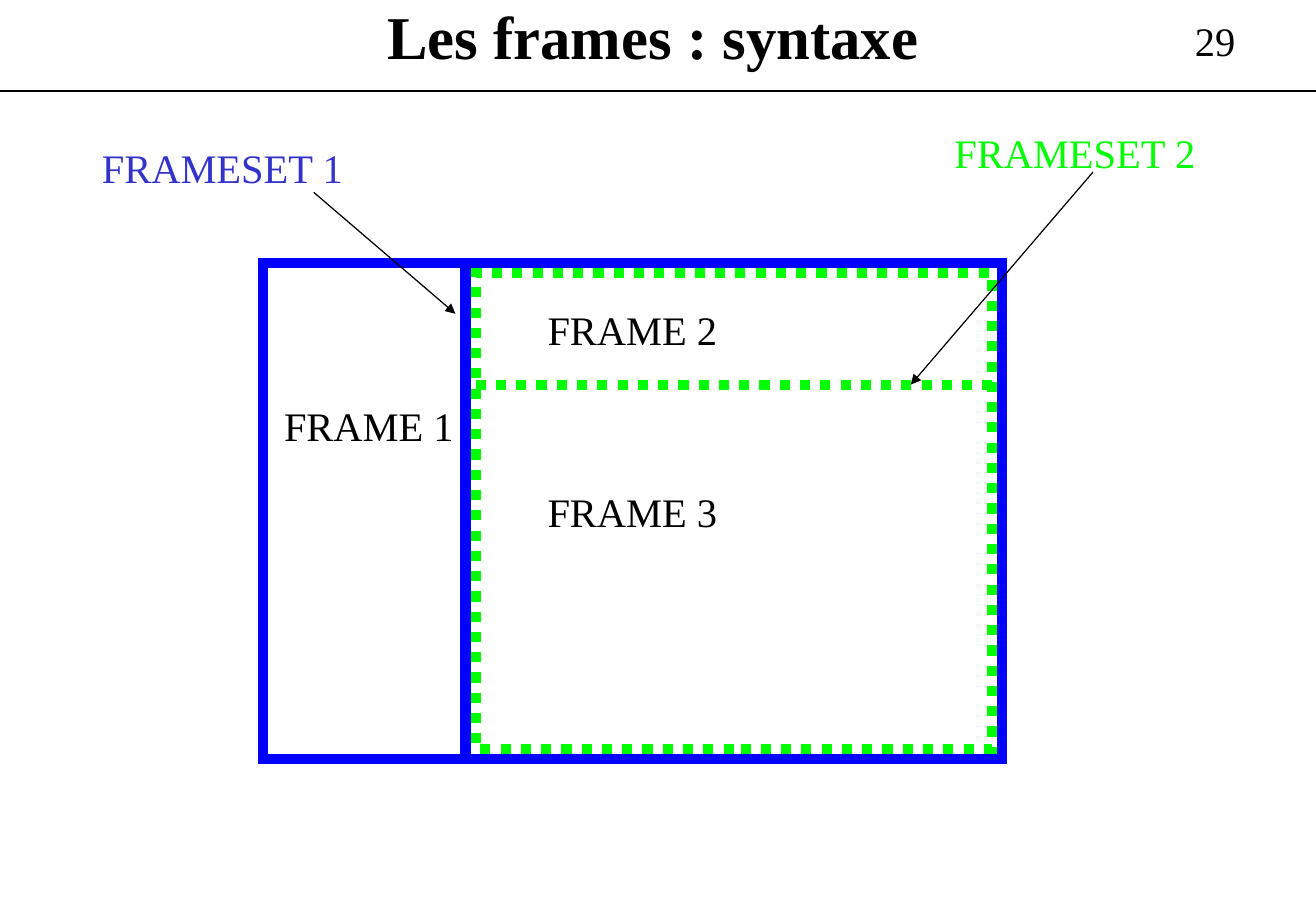
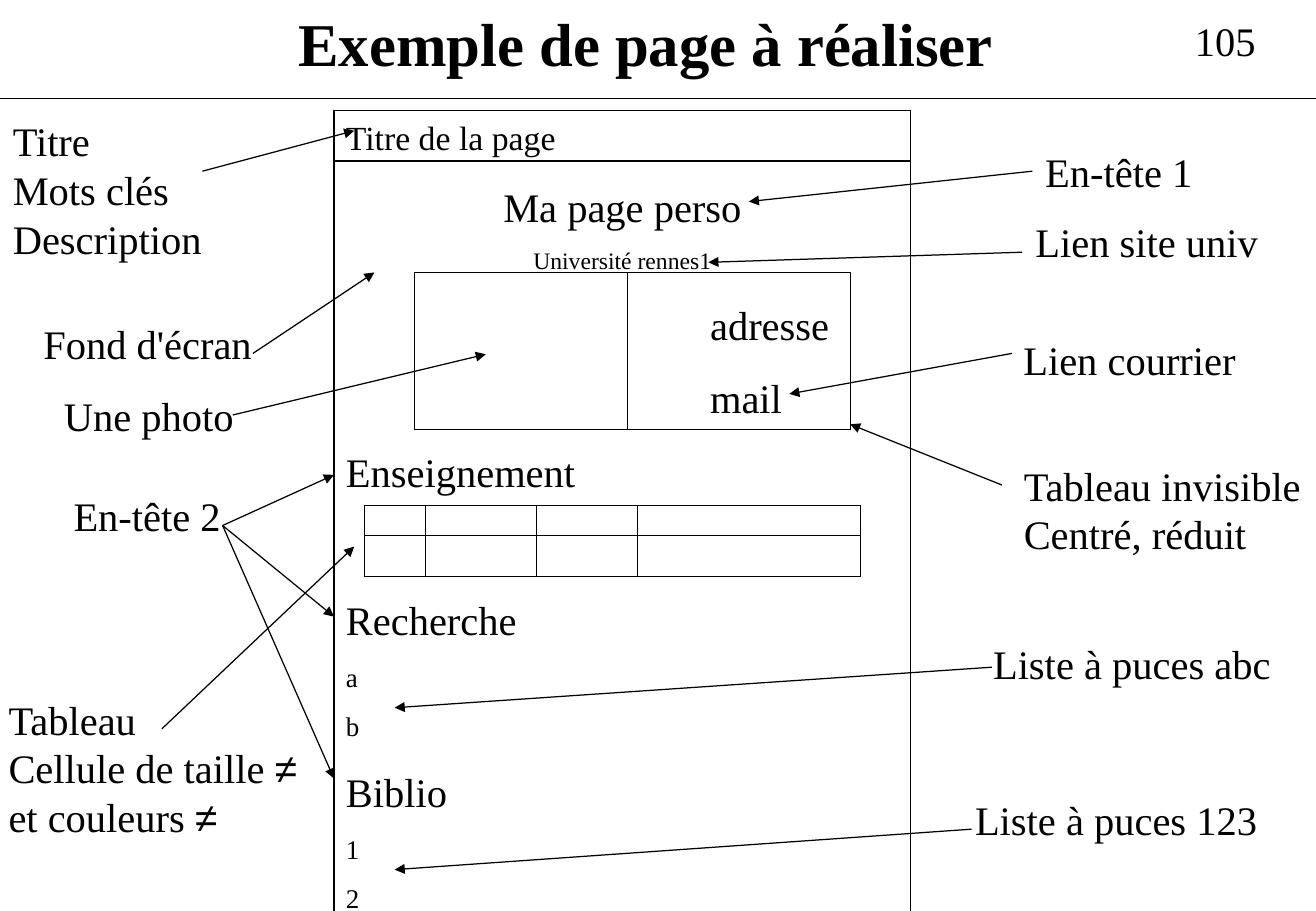
from dataclasses import dataclass
from itertools import accumulate

from lxml.etree import SubElement as Sub
from pptx import Presentation
from pptx.dml.color import RGBColor as RGB
from pptx.enum.dml import MSO_LINE as Dash
from pptx.enum.shapes import MSO_CONNECTOR as Conn, MSO_SHAPE as Geo
from pptx.enum.text import MSO_ANCHOR as Anchor, PP_ALIGN as Align
from pptx.oxml import parse_xml
from pptx.oxml.ns import nsdecls, qn
from pptx.util import Pt


@dataclass(frozen=True)
class Theme:
    wide: float = 780.2
    high: float = 540
    font: str = "Times New Roman"
    sign: str = "Arial"
    ink: str = "000000"
    blue: str = "0000FF"
    green: str = "00FF00"
    link: str = "3333CC"
    title: float = 36
    body: float = 24
    bar: float = 20
    item: float = 16
    small: float = 14
    void: float = 8
    thin: float = 0.75
    thick: float = 6


T = Theme()


@dataclass
class Row:
    """One paragraph and its format."""
    text: str
    size: float = T.body
    before: float = 0
    align: Align = Align.LEFT
    color: str = T.ink
    bold: bool = False


def put(thing, fmt):
    for name, value in fmt.items():
        setattr(thing, name, value)


def pts(*values):
    return [Pt(v) for v in values]


def split(text):
    """Yield text pieces with their font; the sign ≠ has its own."""
    head, mark, rest = text.partition("≠")
    yield head, T.font
    if mark:
        yield mark, T.sign
    if rest:
        yield rest, T.font


def write(frame, rows):
    for i, row in enumerate(rows):
        par = frame.add_paragraph() if i else frame.paragraphs[0]
        put(par, {"alignment": row.align, "space_before": Pt(row.before)})
        for text, face in split(row.text):
            run = par.add_run()
            run.text = text
            put(run.font, {"name": face, "size": Pt(row.size), "bold": row.bold})
            run.font.color.rgb = RGB.from_string(row.color)


def label(slide, x, y, wide, *rows):
    """Add a text box; plain strings become body rows."""
    rows = [Row(r) if isinstance(r, str) else r for r in rows]
    high = 7.2 + sum(1.2 * r.size + r.before for r in rows)
    frame = slide.shapes.add_textbox(*pts(x, y, wide, high)).text_frame
    frame.word_wrap = True
    write(frame, rows)


def stroke(line, color, width, dash):
    line.color.rgb = RGB.from_string(color)
    put(line, {"width": Pt(width), "dash_style": dash})
    Sub(line._get_or_add_ln(), qn("a:miter"), lim="800000")


def box(slide, x, y, wide, high, color=T.ink, width=T.thin, dash=None):
    shape = slide.shapes.add_shape(Geo.RECTANGLE, *pts(x, y, wide, high))
    shape.shadow.inherit = False
    shape.fill.background()
    stroke(shape.line, color, width, dash)
    return shape


def link(slide, x1, y1, x2, y2, color=T.ink, width=T.thin, dash=None, tip=False):
    line = slide.shapes.add_connector(Conn.STRAIGHT, *pts(x1, y1, x2, y2))
    stroke(line.line, color, width, dash)
    if tip:
        Sub(line.line._get_or_add_ln(), qn("a:tailEnd"), type="triangle")
    Sub(line._element.spPr, qn("a:effectLst"))


def edge(cell):
    """Draw the four thin borders of a cell."""
    props = cell._tc.get_or_add_tcPr()
    for i, side in enumerate("LRTB"):
        props.insert(i, parse_xml(
            f'<a:ln{side} {nsdecls("a")} w="{Pt(T.thin)}"><a:solidFill>'
            f'<a:srgbClr val="{T.ink}"/></a:solidFill></a:ln{side}>'))


def grid(slide, x, y, cols, rows):
    """Add a bare table from its column widths and row heights."""
    area = pts(x, y, sum(cols), sum(rows))
    table = slide.shapes.add_table(len(rows), len(cols), *area).table
    put(table, {"first_row": False, "horz_banding": False})
    for col, wide in zip(table.columns, cols):
        col.width = Pt(wide)
    for row, high in zip(table.rows, rows):
        row.height = Pt(high)
    for cell in table.iter_cells():
        put(cell, {"margin_top": 0, "margin_bottom": 0})
        cell.fill.background()
        edge(cell)
        par = cell.text_frame.paragraphs[0]
        Sub(par._p, qn("a:endParaRPr"), sz=str(int(T.void * 100)))
    return table


def header(slide, title, number, x, y, wide, rule):
    label(slide, x, y, wide, Row(title, T.title, bold=True))
    label(slide, 701.3, 5.8, 78, number)
    link(slide, 0, rule, T.wide, rule)


def frames(slide):
    header(slide, "Les frames : syntaxe", "29", 222.5, -4.3, 340, 54)
    outer = {"color": T.blue, "width": T.thick}
    inner = {"color": T.green, "width": T.thick, "dash": Dash.ROUND_DOT}
    box(slide, 156, 156, 438, 294, **outer)
    link(slide, 276, 156, 276, 450, **outer)
    box(slide, 282, 162, 306, 282, **inner)
    link(slide, 282, 228, 588, 228, **inner)

    for x, y, text, color in (
        (53.3, 81.4, "FRAMESET 1", T.link),
        (558.7, 72.2, "FRAMESET 2", T.green),
        (161.3, 234.2, "FRAME 1", T.ink),
        (317.5, 177.2, "FRAME 2", T.ink),
        (317.5, 285.2, "FRAME 3", T.ink),
    ):
        label(slide, x, y, 165, Row(text, color=color))
    for ends in ((186, 114, 270, 186), (648, 102, 540, 228)):
        link(slide, *ends, tip=True)


def page(slide):
    """Draw the mock web page with its text and tables."""
    left, top, wide = 198, 65.5, 342
    sheet = box(slide, left, top, wide, 480)
    put(sheet.text_frame, {"word_wrap": True, "vertical_anchor": Anchor.TOP})
    write(sheet.text_frame, [
        Row("Titre de la page", T.bar),
        Row("Ma page perso", before=15, align=Align.CENTER),
        Row("Université rennes1", T.small, 8.8, Align.CENTER),
    ])
    link(slide, left, 95.5, left + wide, 95.5)

    cell = grid(slide, 246, 161.5, [126, 132], [90]).cell(0, 1)
    put(cell, {"margin_left": Pt(49), "margin_right": 0, "margin_top": Pt(19)})
    write(cell.text_frame, [Row("adresse"), Row("mail", before=16.5)])

    label(slide, left, 261.5, wide,
          Row("Enseignement"),
          Row("Recherche", before=58.8),
          Row("a", T.item, 10), Row("b", T.item, 10),
          Row("Biblio", before=15),
          Row("1", T.item, 10), Row("2", T.item, 10))
    grid(slide, 216, 299.5, [36, 66, 60, 132], [18, 24])


def sample(slide):
    header(slide, "Exemple de page à réaliser", "105", 169.8, 0, 440, 58.2)
    page(slide)
    for x, y, wide, *lines in (
        (0.5, 65.5, 130, "Titre", "Mots clés", "Description"),
        (18.6, 185.6, 142, "Fond d'écran"),
        (30.8, 228.4, 120, "Une photo"),
        (36.5, 287.5, 106, "En-tête 2"),
        (-2, 408.4, 200, "Tableau", "Cellule de taille ≠", "et couleurs ≠"),
        (612.6, 83.5, 106, "En-tête 1"),
        (606.8, 125.4, 150, "Lien site univ"),
        (599.6, 195, 145, "Lien courrier"),
        (599.9, 269.5, 180, "Tableau invisible", "Centré, réduit"),
        (581.7, 375, 183, "Liste à puces abc"),
        (571, 467.5, 186, "Liste à puces 123"),
    ):
        label(slide, x, y, wide, *lines)

    for ends in (
        (120, 101.5, 210, 77.5),
        (150, 209.5, 222, 161.5),
        (138, 246, 288, 210),
        (96, 432, 210, 324),
        (612, 101.5, 444, 119.5),
        (606, 149.5, 420, 155.5),
        (600, 209.5, 468, 233.5),
        (594, 287.5, 504, 251.5),
        (588, 395.5, 234, 419.5),
        (576, 491.5, 234, 515.5),
    ):
        link(slide, *ends, tip=True)
    for y in accumulate((281.5, 84, 96)):
        link(slide, 132, 311.5, 198, y, tip=True)


def main():
    deck = Presentation()
    put(deck, {"slide_width": Pt(T.wide), "slide_height": Pt(T.high)})
    for draw in (frames, sample):
        draw(deck.slides.add_slide(deck.slide_layouts[6]))
    deck.save("out.pptx")


if __name__ == "__main__":
    main()
